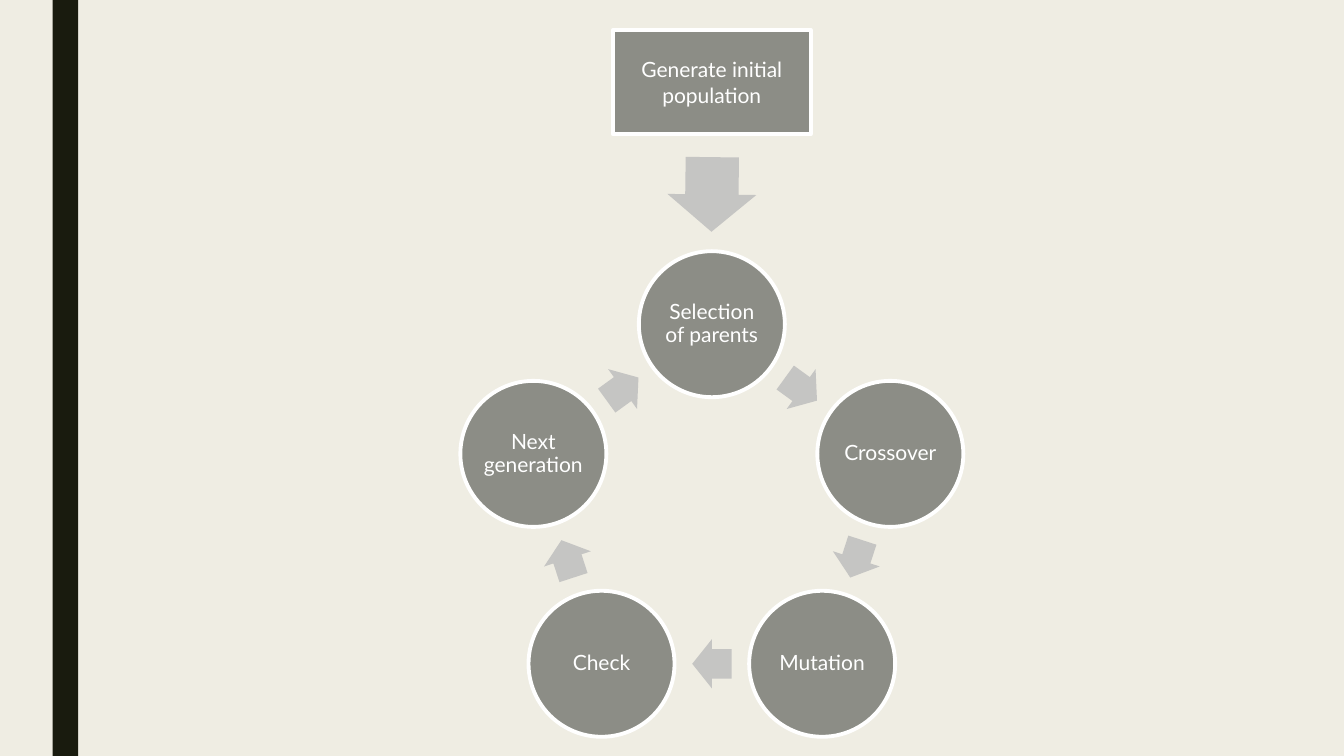
from math import cos, pi, radians, sin

from pptx import Presentation
from pptx.dml.color import RGBColor
from pptx.enum.shapes import MSO_SHAPE
from pptx.enum.text import MSO_ANCHOR, PP_ALIGN
from pptx.util import Cm, Pt

CENTER_X, CENTER_Y, RADIUS = 17.94, 12.9, 4.73
CIRCLE = 3.68
STEPS = ["Selection of parents", "Crossover", "Mutation", "Check", "Next generation"]


def color(value):
    return RGBColor.from_string(value)


def add_shape(s, kind, x, y, w, h, fill, line=0):
    sp = s.shapes.add_shape(kind, Cm(x - w / 2), Cm(y - h / 2), Cm(w), Cm(h))
    sp.shadow.inherit = False
    sp.fill.solid()
    sp.fill.fore_color.rgb = color(fill)
    if line:
        sp.line.color.rgb = color("FFFFFF")
        sp.line.width = Pt(line)
    else:
        sp.line.fill.background()
    return sp


def add_label(sp, text):
    tf = sp.text_frame
    tf.word_wrap = True
    tf.vertical_anchor = MSO_ANCHOR.MIDDLE
    p = tf.paragraphs[0]
    p.alignment = PP_ALIGN.CENTER
    r = p.add_run()
    r.text = text
    r.font.size = Pt(15)
    r.font.name = "Lato"
    r.font.color.rgb = color("FFFFFF")
    return tf


def add_step(s, text, x, y):
    sp = add_shape(s, MSO_SHAPE.OVAL, x, y, CIRCLE, CIRCLE, "8C8D86", 2.75)
    tf = add_label(sp, text)
    tf.margin_left = tf.margin_right = tf.margin_top = tf.margin_bottom = Cm(0.05)
    tf.paragraphs[0].line_spacing = 0.9
    tf.paragraphs[0].space_after = Pt(5.25)


def add_arrow(s, x, y, w, h, rotation):
    sp = add_shape(s, MSO_SHAPE.RIGHT_ARROW, x, y, w, h, "C5C5C3")
    sp.adjustments[0] = 0.6
    sp.adjustments[1] = 0.5
    sp.rotation = rotation


def ring_point(angle, radius):
    a = radians(angle)
    return CENTER_X + radius * sin(a), CENTER_Y - radius * cos(a)


def add_cycle(s):
    turn = 360 / len(STEPS)
    for i, text in enumerate(STEPS):
        add_step(s, text, *ring_point(i * turn, RADIUS))
        angle = (i + 0.5) * turn
        x, y = ring_point(angle, RADIUS * cos(pi / len(STEPS)))
        add_arrow(s, x, y, 0.99, 1.24, angle)


def main():
    prs = Presentation()
    prs.slide_width, prs.slide_height = Cm(33.87), Cm(19.05)
    s = prs.slides.add_slide(prs.slide_layouts[6])
    s.background.fill.solid()
    s.background.fill.fore_color.rgb = color("EFEDE3")
    add_shape(s, MSO_SHAPE.RECTANGLE, 1.65, 9.525, 0.64, 19.05, "191B0E")
    add_cycle(s)
    start = add_shape(s, MSO_SHAPE.RECTANGLE, CENTER_X, 2.07, 4.98, 2.62, "8C8D86", 3)
    add_label(start, "Generate initial population")
    add_arrow(s, CENTER_X, 4.9, 1.88, 2.24, 90.7)
    prs.save("out.pptx")


if __name__ == "__main__":
    main()
